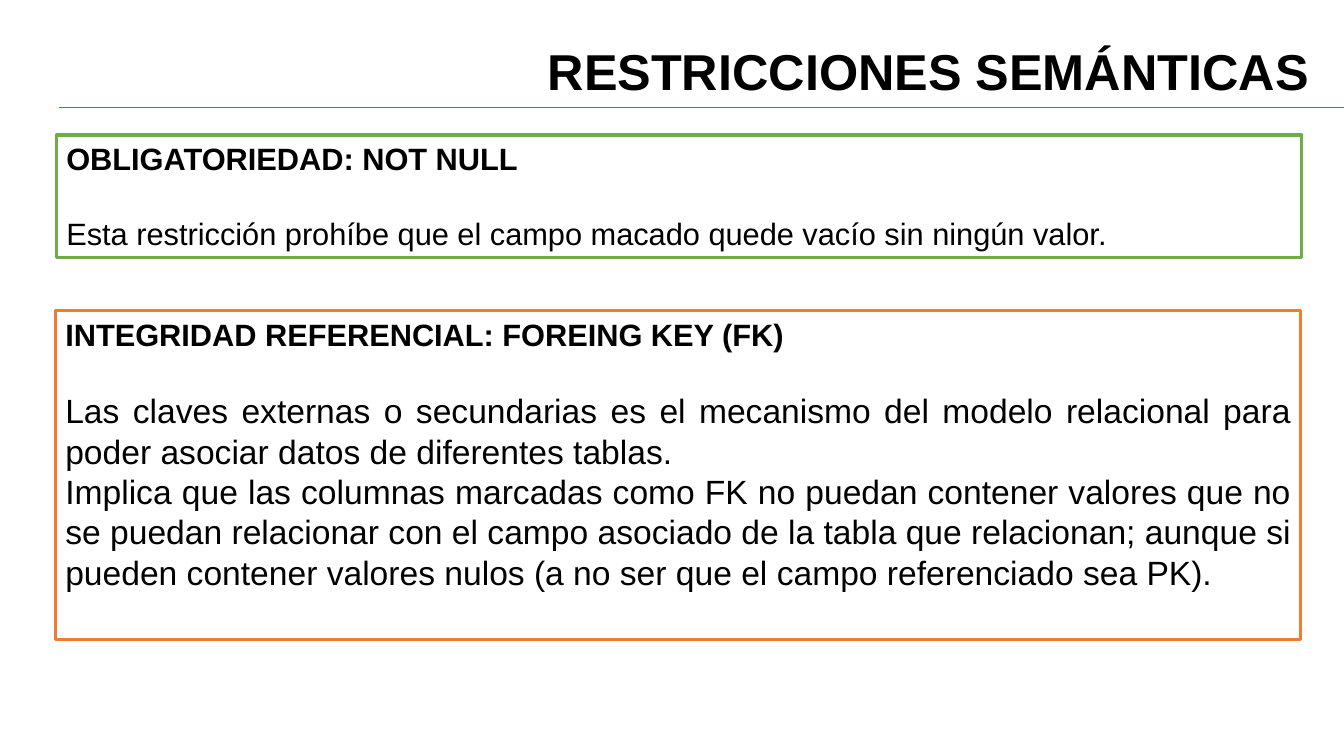
from pptx import Presentation
from pptx.dml.color import RGBColor
from pptx.enum.shapes import MSO_CONNECTOR, MSO_SHAPE
from pptx.enum.text import MSO_ANCHOR, PP_ALIGN
from pptx.oxml.ns import qn
from pptx.util import Pt
from lxml.etree import SubElement

BLACK = RGBColor(0x00, 0x00, 0x00)
WHITE = RGBColor(0xFF, 0xFF, 0xFF)
BLUE = RGBColor(0x44, 0x72, 0xC4)
GREEN = RGBColor(0x70, 0xAD, 0x47)
ORANGE = RGBColor(0xED, 0x7D, 0x31)


class SlideBuilder:
    """Draws the titled slide with its rule and framed text boxes."""

    def __init__(self, prs, font="Arial"):
        self.s = prs.slides.add_slide(prs.slide_layouts[6])
        self.font = font

    def add_run(self, p, text, size, bold=False):
        r = p.add_run()
        r.text = text
        r.font.name = self.font
        r.font.size = Pt(size)
        r.font.bold = bold
        r.font.color.rgb = BLACK

    def title(self, text, x, y, w, h):
        sp = self.s.shapes.add_textbox(Pt(x), Pt(y), Pt(w), Pt(h))
        sp.fill.solid()
        sp.fill.fore_color.rgb = WHITE
        tf = sp.text_frame
        tf.word_wrap = True
        tf.vertical_anchor = MSO_ANCHOR.MIDDLE
        p = tf.paragraphs[0]
        p.alignment = PP_ALIGN.RIGHT
        p.line_spacing = 0.9
        self.add_run(p, text, 36, bold=True)

    def rule(self, x1, x2, y):
        line = self.s.shapes.add_connector(
            MSO_CONNECTOR.STRAIGHT, Pt(x1), Pt(y), Pt(x2), Pt(y))
        line.line.color.rgb = BLUE
        line.line.width = Pt(0.5)
        SubElement(line._element.spPr, qn("a:effectLst"))

    def box(self, heading, body, size, color, x, y, w, h):
        sp = self.s.shapes.add_shape(
            MSO_SHAPE.RECTANGLE, Pt(x), Pt(y), Pt(w), Pt(h))
        sp.shadow.inherit = False
        sp.fill.solid()
        sp.fill.fore_color.rgb = WHITE
        sp.line.color.rgb = color
        sp.line.width = Pt(2.25)
        tf = sp.text_frame
        tf.word_wrap = True
        tf.vertical_anchor = MSO_ANCHOR.TOP
        p = tf.paragraphs[0]
        p.alignment = PP_ALIGN.LEFT
        p.space_after = Pt(27)
        self.add_run(p, heading, 22, bold=True)
        for text in body:
            p = tf.add_paragraph()
            p.alignment = PP_ALIGN.JUSTIFY
            self.add_run(p, text, size)


def main():
    prs = Presentation()
    prs.slide_width, prs.slide_height = Pt(960), Pt(540)
    s = SlideBuilder(prs)
    s.title("RESTRICCIONES SEMÁNTICAS", 44.6, 28.1, 897.8, 49.7)
    s.rule(42.5, 960, 77)
    s.box("OBLIGATORIEDAD: NOT NULL",
          ["Esta restricción prohíbe que el campo macado quede vacío sin "
           "ningún valor."],
          22, GREEN, 40.3, 96.5, 889.5, 87.2)
    s.box("INTEGRIDAD REFERENCIAL: FOREING KEY (FK)",
          ["Las claves externas o secundarias es el mecanismo del modelo "
           "relacional para poder asociar datos de diferentes tablas.",
           "Implica que las columnas marcadas como FK no puedan contener "
           "valores que no se puedan relacionar con el campo asociado de la "
           "tabla que relacionan; aunque si pueden contener valores nulos "
           "(a no ser que el campo referenciado sea PK)."],
          24, ORANGE, 39.6, 221.8, 889.5, 234.9)
    prs.save("out.pptx")


if __name__ == "__main__":
    main()
